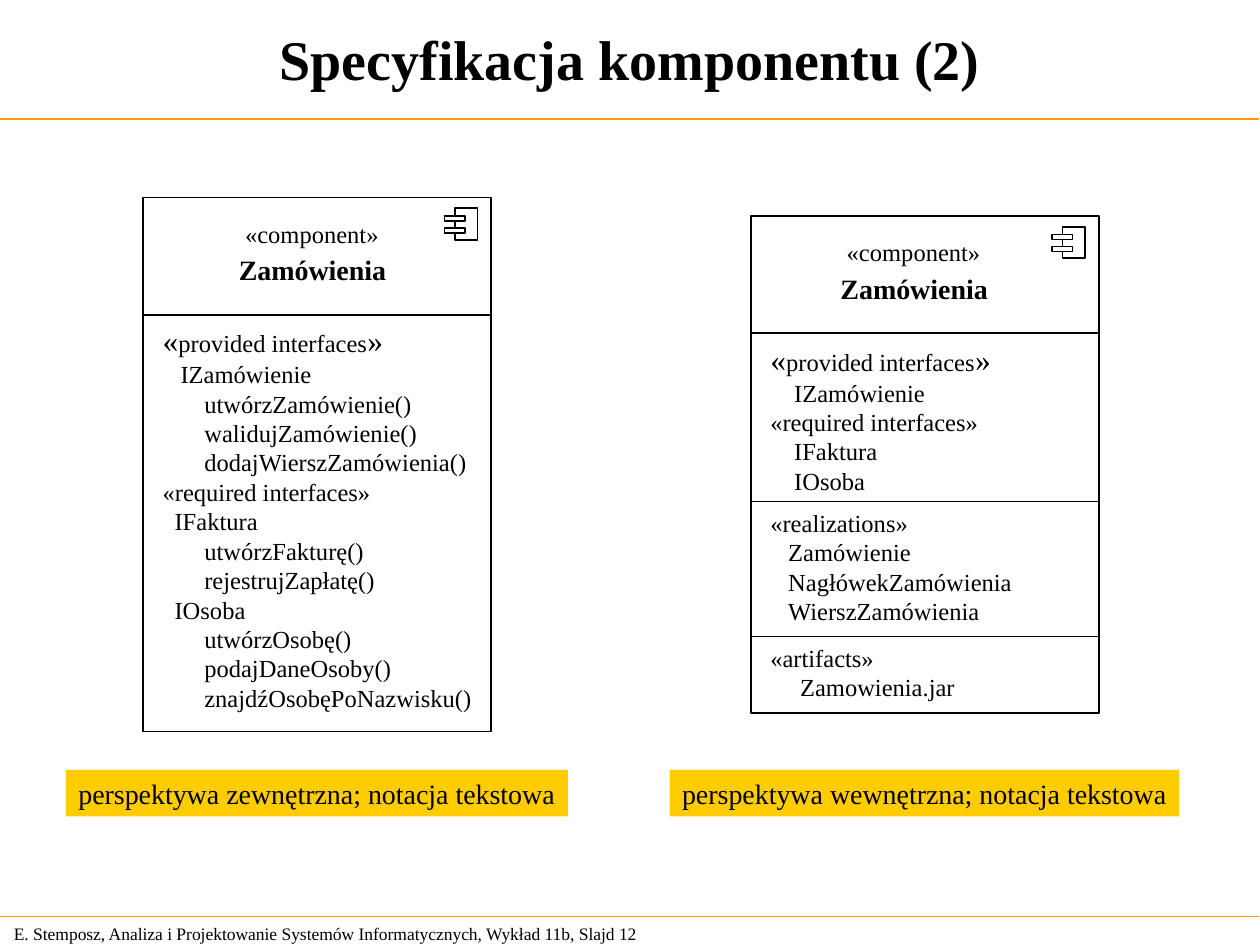
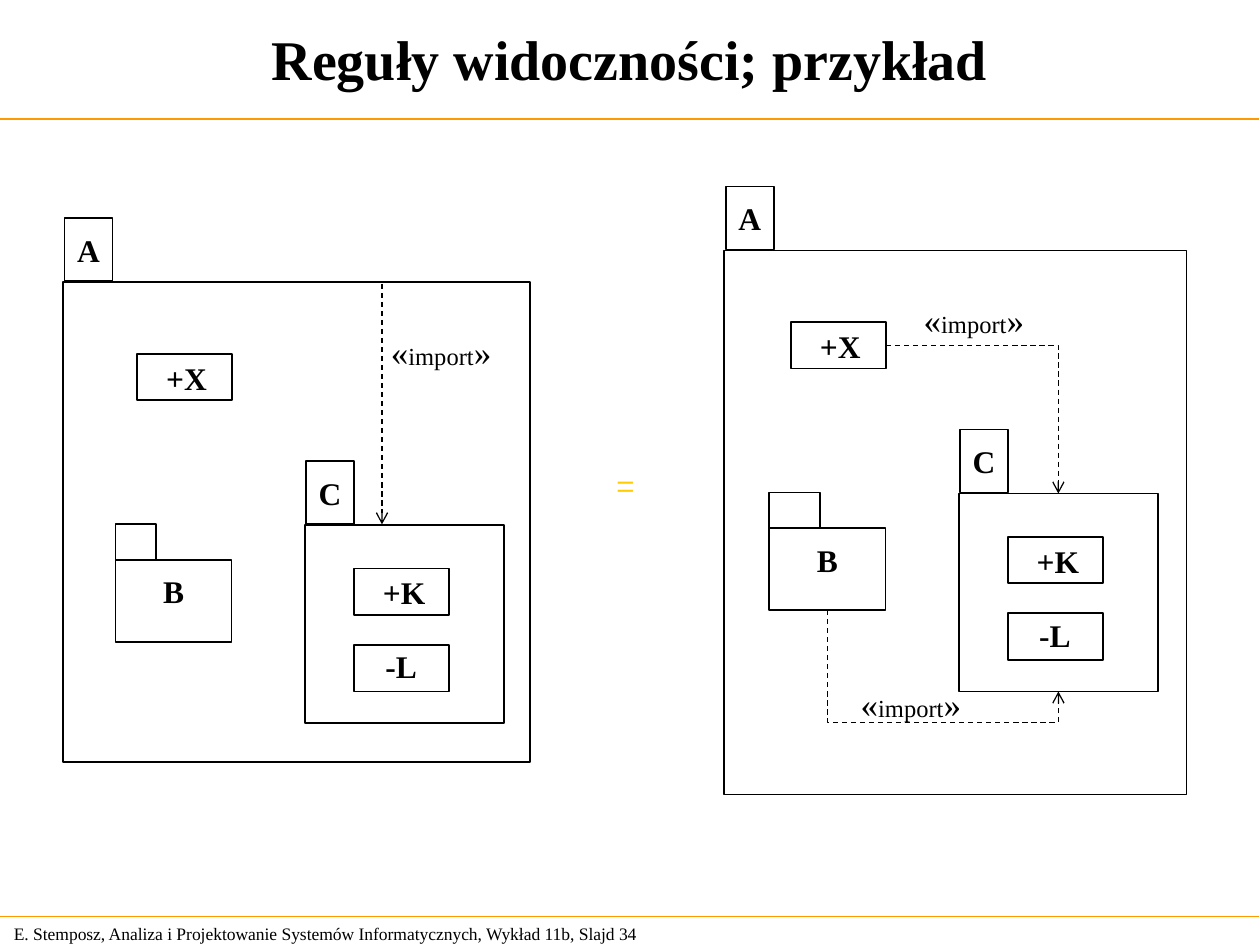
from lxml import etree
from pptx import Presentation
from pptx.dml.color import RGBColor
from pptx.enum.dml import MSO_LINE
from pptx.enum.shapes import MSO_CONNECTOR, MSO_SHAPE
from pptx.enum.text import MSO_ANCHOR, MSO_AUTO_SIZE, PP_ALIGN
from pptx.oxml.ns import qn
from pptx.util import Cm, Pt

RECT = MSO_SHAPE.RECTANGLE
STRAIGHT, ELBOW = MSO_CONNECTOR.STRAIGHT, MSO_CONNECTOR.ELBOW
LEFT, CENTER = PP_ALIGN.LEFT, PP_ALIGN.CENTER
TOP, MIDDLE = MSO_ANCHOR.TOP, MSO_ANCHOR.MIDDLE
GROW, FIXED = MSO_AUTO_SIZE.SHAPE_TO_FIT_TEXT, MSO_AUTO_SIZE.NONE
DASH = MSO_LINE.DASH
SIDE_TOP, SIDE_BOTTOM, SIDE_RIGHT = 0, 2, 3

BLACK, WHITE, ORANGE, YELLOW = "000000", "FFFFFF", "FF9900", "FFCC00"
SERIF, SANS = "Times New Roman", "Montserrat"
WIDTH, HEIGHT = 25.4, 19.05
SPACE = 0.12  # one indent step inside the compartments
COMPONENT_W, HEADER_H = 7.01, 2.37
FOOTER = "E. Stemposz, Analiza i Projektowanie Systemów Informatycznych, Wykład 11b, Slajd {}"


def rgb(value):
    return RGBColor.from_string(value)


# Text
def write(sp, paragraphs, size=14, bold=False, color=BLACK, font=SERIF,
          align=LEFT, **frame):
    """Fill a shape; a paragraph is (indent steps, [(text, size), ...]) or a string."""
    tf = sp.text_frame
    settings = dict(word_wrap=False, auto_size=GROW, vertical_anchor=TOP,
                    margin_left=Cm(0.25), margin_right=Cm(0.25),
                    margin_top=Cm(0.13), margin_bottom=Cm(0.13))
    settings.update(frame)
    for name, value in settings.items():
        setattr(tf, name, value)
    for i, item in enumerate(paragraphs):
        indent, runs = (0, [(item, size)]) if isinstance(item, str) else item
        p = tf.add_paragraph() if i else tf.paragraphs[0]
        p.alignment = align
        if indent:
            p._p.get_or_add_pPr().set("marL", str(Cm(indent * SPACE)))
        for text, run_size in runs:
            r = p.add_run()
            r.text = text
            r.font.color.rgb = rgb(color)
            for name, value in dict(name=font, size=Pt(run_size), bold=bold).items():
                setattr(r.font, name, value)


def text_box(s, x, y, w, h, paragraphs, **fmt):
    sp = s.shapes.add_textbox(Cm(x), Cm(y), Cm(w), Cm(h))
    write(sp, paragraphs, **fmt)


def guillemets(word, size):
    return 0, [("«", size), (word, 14), ("»", size)]


def entry(indent, text):
    return indent, [(text, 14)]


# Shapes and lines
def box(s, x, y, w, h, fill=None, line=BLACK):
    sp = s.shapes.add_shape(RECT, Cm(x), Cm(y), Cm(w), Cm(h))
    sp.shadow.inherit = False
    if fill:
        sp.fill.solid()
        sp.fill.fore_color.rgb = rgb(fill)
    else:
        sp.fill.background()
    if line:
        sp.line.color.rgb = rgb(line)
        sp.line.width = Pt(1)
    else:
        sp.line.fill.background()
    return sp


def connector(s, x1, y1, x2, y2, color=BLACK, width=1, kind=STRAIGHT):
    cxn = s.shapes.add_connector(kind, Cm(x1), Cm(y1), Cm(x2), Cm(y2))
    cxn.line.color.rgb = rgb(color)
    cxn.line.width = Pt(width)
    etree.SubElement(cxn._element.spPr, qn("a:effectLst"))
    return cxn


def dashed_arrow(s, x1=0, y1=0, x2=0, y2=0, kind=STRAIGHT):
    cxn = connector(s, x1, y1, x2, y2, width=0.75, kind=kind)
    cxn.line.dash_style = DASH
    ln = cxn._element.spPr.find(qn("a:ln"))
    etree.SubElement(ln, qn("a:tailEnd"), type="arrow")
    return cxn


def elbow_arrow(s, start, start_side, end, end_side):
    cxn = dashed_arrow(s, kind=ELBOW)
    cxn.begin_connect(start, start_side)
    cxn.end_connect(end, end_side)
    return cxn


def corner_arrow(s, start, end):
    """Leave to the right, turn once and enter from above."""
    cxn = elbow_arrow(s, start, SIDE_RIGHT, end, SIDE_TOP)
    cxn._element.spPr.find(qn("a:prstGeom")).set("prst", "bentConnector2")


def under_arrow(s, start, end, drop):
    """Leave downwards by drop, run to the right and enter from below."""
    cxn = elbow_arrow(s, start, SIDE_BOTTOM, end, SIDE_BOTTOM)
    dx, dy = cxn.width, cxn.height
    cxn.left, cxn.top = cxn.left + (dx - dy) // 2, cxn.top + (dy - dx) // 2
    cxn.width, cxn.height = dy, dx
    xfrm = cxn._element.spPr.find(qn("a:xfrm"))
    xfrm.set("rot", str(270 * 60000))
    xfrm.set("flipH", "1")
    adjust = cxn._element.spPr.find(qn("a:prstGeom")).find(qn("a:avLst"))
    etree.SubElement(adjust, qn("a:gd"), name="adj1",
                     fmla=f"val {round(Cm(drop) / dy * 100000)}")


# Shared frame of a slide
def new_slide(prs, title, number):
    s = prs.slides.add_slide(prs.slide_layouts[6])
    text_box(s, 0.03, 18.47, 13.4, 0.69, [FOOTER.format(number)], size=10,
             vertical_anchor=MIDDLE, word_wrap=True)
    for y in (2.4, 18.48):
        connector(s, -0.02, y, WIDTH - 0.02, y, ORANGE, 0.75)
    text_box(s, 0, 0, WIDTH, 2.36, [title], size=32, bold=True, align=CENTER,
             vertical_anchor=MIDDLE, word_wrap=True, auto_size=FIXED)
    return s


# Component with text compartments
def component(s, x, y, h, title_dx, compartments):
    box(s, x, y, COMPONENT_W, h)
    text_box(s, x + title_dx, y + 0.3, 3.3, 0.86, ["«component»"])
    text_box(s, x + title_dx - 0.13, y + 0.99, 3.48, 0.94, ["Zamówienia"],
             size=16, bold=True, align=CENTER)
    box(s, x + 6.28, y + 0.22, 0.46, 0.64)
    for dy in (0.38, 0.62):
        box(s, x + 6.07, y + dy, 0.41, 0.1, fill=WHITE)
    for dy, w, text_h, lines in compartments:
        connector(s, x, y + dy, x + COMPONENT_W, y + dy)
        text_box(s, x + 0.14, y + dy, w, text_h, lines)


def caption(s, x, w, text):
    write(box(s, x, 15.52, w, 0.94, YELLOW, None), [text], size=16,
          margin_right=Cm(0.1))


# Packages and their members
def name_tab(s, x, y, name):
    write(box(s, x, y, 0.97, 1.27), [name], size=18, bold=True, align=CENTER,
          vertical_anchor=MIDDLE, margin_top=Cm(0.25), margin_bottom=Cm(0.25))


def member(s, x, y, name, dx=0.33, dy=-0.03):
    sp = box(s, x, y, 1.91, 0.94)
    text_box(s, x + dx, y + dy, 1.5, 1.02, [name], size=18, bold=True,
             margin_right=Cm(0.1))
    return sp


def package_a(s, x, y, w, h, inner_x, b_tab_w):
    name_tab(s, x + 0.03, y - 1.29, "A")
    box(s, x, y, w, h)
    member_x = member(s, inner_x + 1.5, y + 1.44, "+X")

    box(s, inner_x + 1.06, y + 4.88, b_tab_w, 0.71)
    package_b = box(s, inner_x + 1.06, y + 5.6, 2.34, 1.65)
    write(package_b, ["B"], size=18, bold=True, align=CENTER, auto_size=FIXED,
          margin_top=Cm(0.25), margin_bottom=Cm(0.25))

    c_x, c_y = inner_x + 4.88, y + 4.9
    name_tab(s, c_x + 0.02, c_y - 1.29, "C")
    package_c = box(s, c_x, c_y, 4.01, 3.99)
    member(s, c_x + 0.99, c_y + 0.87, "+K")
    member(s, c_x + 0.99, c_y + 2.41, "-L", 0.38, -0.08)
    return member_x, package_b, package_c


def import_label(s, x, y):
    text_box(s, x, y, 2.6, 1.12, [guillemets("import", 20)], margin_right=Cm(0.1))


# Slides
def component_slide(prs):
    s = new_slide(prs, "Specyfikacja komponentu (2)", 12)
    provided = guillemets("provided interfaces", 18)
    required = entry(0, "«required interfaces»")
    component(s, 2.89, 3.98, 10.77, 1.8, [
        (HEADER_H, 6.8, 8.13, [
            provided,
            entry(3, "IZamówienie"),
            entry(7, "utwórzZamówienie()"),
            entry(7, "walidujZamówienie()"),
            entry(7, "dodajWierszZamówienia()"),
            required,
            entry(2, "IFaktura"),
            entry(7, "utwórzFakturę()"),
            entry(7, "rejestrujZapłatę()"),
            entry(2, "IOsoba"),
            entry(7, "utwórzOsobę()"),
            entry(7, "podajDaneOsoby()"),
            entry(7, "znajdźOsobęPoNazwisku()")])])
    caption(s, 1.33, 10.12, "perspektywa zewnętrzna; notacja tekstowa")

    component(s, 15.14, 4.35, 10.03, 1.68, [
        (HEADER_H, 5, 3.4, [
            provided, entry(4, "IZamówienie"),
            required, entry(4, "IFaktura"), entry(4, "IOsoba")]),
        (5.76, 5.4, 2.64, [
            entry(0, "«realizations»"), entry(3, "Zamówienie"),
            entry(3, "NagłówekZamówienia"), entry(3, "WierszZamówienia")]),
        (8.48, 4.3, 1.45, [
            entry(0, "«artifacts»"), entry(5, "Zamowienia.jar")])])
    caption(s, 13.5, 10.27, "perspektywa wewnętrzna; notacja tekstowa")


def visibility_slide(prs):
    s = new_slide(prs, "Reguły widoczności; przykład", 34)
    package_a(s, 1.27, 5.69, 9.42, 9.68, 1.27, 0.81)
    dashed_arrow(s, 7.7, 5.72, 7.7, 10.57)
    import_label(s, 7.63, 6.53)

    member_x, package_b, package_c = package_a(s, 14.6, 5.05, 9.32, 10.97, 14.45, 1.02)
    under_arrow(s, package_b, package_c, 2.26)
    import_label(s, 17.1, 13.62)
    corner_arrow(s, member_x, package_c)
    import_label(s, 18.37, 5.89)

    text_box(s, 12.37, 9.27, 0.48, 1.02, ["="], size=20, color=YELLOW, font=SANS,
             align=CENTER, vertical_anchor=MIDDLE, auto_size=FIXED,
             margin_left=0, margin_right=0)


def main():
    prs = Presentation()
    prs.slide_width, prs.slide_height = Cm(WIDTH), Cm(HEIGHT)
    component_slide(prs)
    visibility_slide(prs)
    prs.save("out.pptx")


if __name__ == "__main__":
    main()
